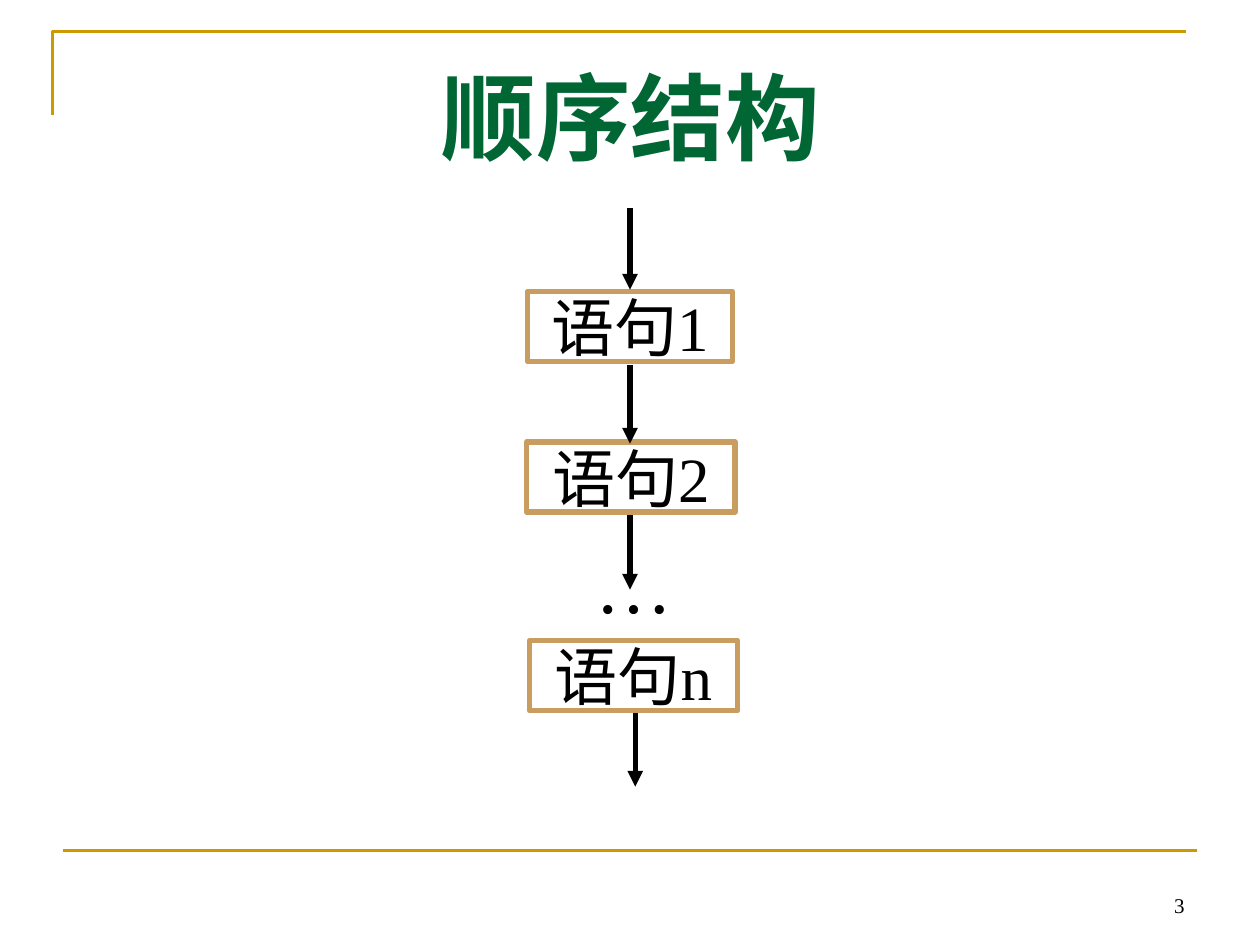
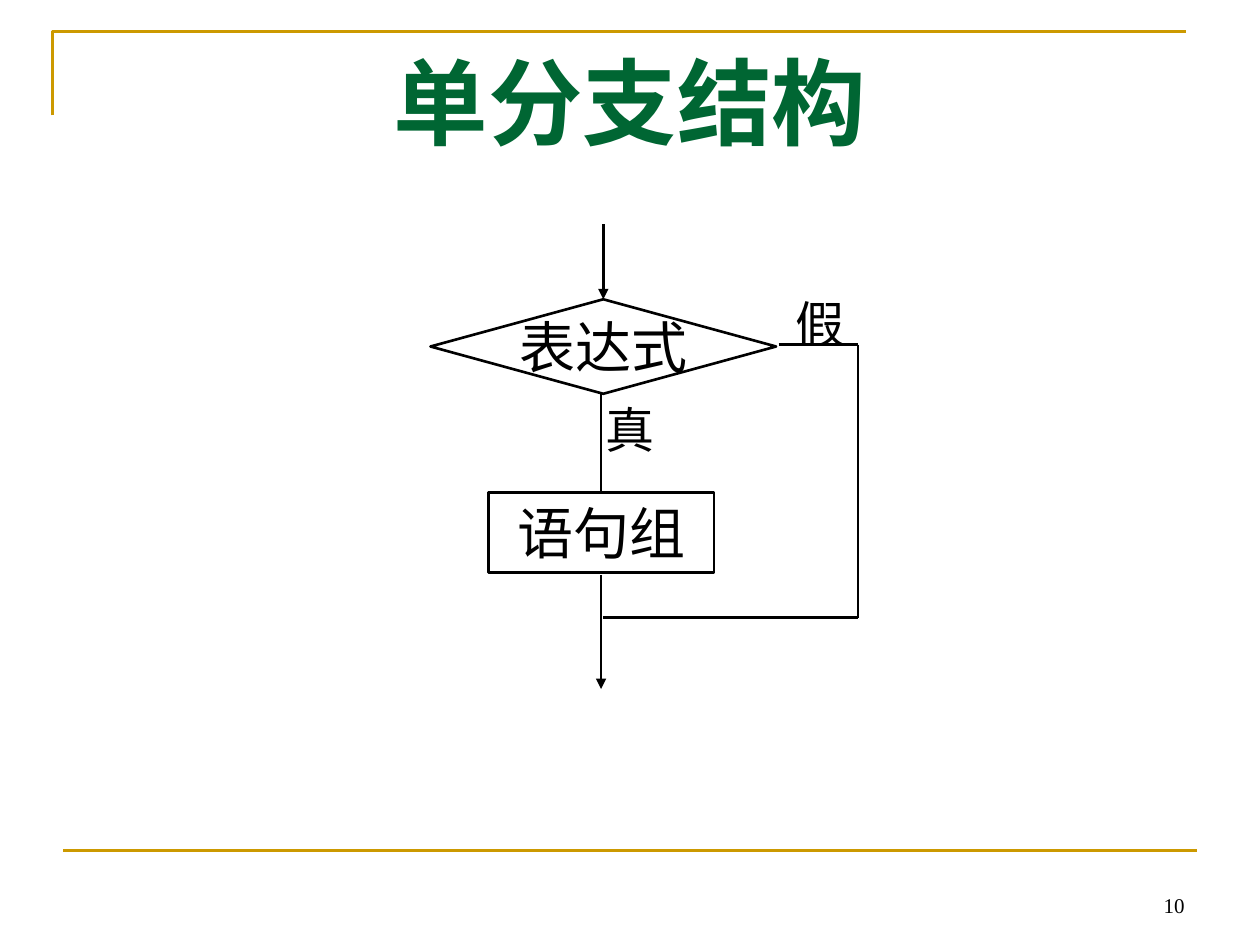
"""Builds two flowchart slides: sequence structure and single-branch structure."""
from lxml.etree import SubElement
from pptx import Presentation
from pptx.dml.color import RGBColor
from pptx.enum.shapes import MSO_CONNECTOR, MSO_SHAPE as SHAPE
from pptx.enum.text import MSO_ANCHOR as ANCHOR, PP_ALIGN as ALIGN
from pptx.oxml.ns import qn
from pptx.util import Pt

COLORS = {name: RGBColor.from_string(value) for name, value in {
    "rule": "CC9900", "title": "006633", "step": "C99C60",
    "ink": "000000", "paper": "FFFFFF"}.items()}
SERIF, SANS, CJK = "Times New Roman", "Arial", "Noto Sans CJK SC"


def add_label(slide, text, box, size, font=SERIF, kind=None, line=None, weight=1.5,
              align=ALIGN.CENTER, anchor=ANCHOR.MIDDLE, color="ink", bold=False,
              wrap=False, inset=3.6):
    """Add text in a plain box, or inside an outlined shape when kind is given."""
    place = [Pt(value) for value in box]
    if kind is None:
        label = slide.shapes.add_textbox(*place)
    else:
        label = slide.shapes.add_shape(kind, *place)
        label.shadow.inherit = False
        label.fill.background()
        label.line.color.rgb = COLORS[line]
        label.line.width = Pt(weight)
    frame = label.text_frame
    frame.word_wrap = wrap
    frame.vertical_anchor = anchor
    frame.margin_left = frame.margin_right = Pt(7.2)
    frame.margin_top = frame.margin_bottom = Pt(inset)
    paragraph = frame.paragraphs[0]
    paragraph.text = text
    paragraph.alignment = align
    paragraph.font.size = Pt(size)
    paragraph.font.bold = bold
    paragraph.font.name = font
    paragraph.font.color.rgb = COLORS[color]
    defaults = paragraph._p.pPr.find(qn("a:defRPr"))
    SubElement(defaults, qn("a:ea"), typeface=CJK)
    return label


def add_line(slide, x1, y1, x2, y2, weight=1.5, color="ink", arrow=False):
    """Add a straight line, with an arrowhead at its end if asked."""
    line = slide.shapes.add_connector(
        MSO_CONNECTOR.STRAIGHT, Pt(x1), Pt(y1), Pt(x2), Pt(y2))
    line.line.color.rgb = COLORS[color]
    line.line.width = Pt(weight)
    if arrow:
        SubElement(line.line._get_or_add_ln(), qn("a:tailEnd"), type="triangle")
    SubElement(line._element.spPr, qn("a:effectLst"))


deck = Presentation()
deck.slide_width, deck.slide_height = Pt(720), Pt(540)

slides = []
for title, title_box, number in [
        ("顺序结构", (196, 30, 329, 79), "3"),
        ("单分支结构", (36, 21.5, 648, 90), "10")]:
    slide = deck.slides.add_slide(deck.slide_layouts[6])
    outline = slide.shapes.build_freeform(30, 66, scale=Pt(1))
    outline.add_line_segments([(30, 18), (678, 18)], close=False)
    corner = outline.convert_to_shape()
    corner.shadow.inherit = False
    corner.fill.background()
    corner.line.color.rgb = COLORS["rule"]
    corner.line.width = Pt(1.5)
    add_line(slide, 36, 486, 684, 486, color="rule")
    add_label(slide, number, (516, 492, 168, 36), 12, align=ALIGN.RIGHT,
              anchor=ANCHOR.BOTTOM, wrap=True)
    add_label(slide, title, title_box, 54, anchor=ANCHOR.TOP, color="title",
              bold=True, wrap=True)
    slides.append(slide)
sequence, branch = slides

for step, left, top, width in [
        ("1", 301.5, 166.5, 117), ("2", 301, 252.5, 119), ("n", 302.5, 366, 119)]:
    add_label(sequence, f"语句{step}", (left, top, width, 40), 36,
              kind=SHAPE.FLOWCHART_PROCESS, line="step", weight=3)
add_label(sequence, "…", (333.5, 303, 58, 60.5), 44, align=ALIGN.LEFT, anchor=ANCHOR.TOP)
for x, start, end in [(360, 119, 165.5), (360, 208.5, 253.5),
                      (360, 294.5, 337), (363, 407.5, 449.5)]:
    add_line(sequence, x, start, x, end, weight=3, arrow=True)

entry_x, flow_x, bypass_x = 344.75, 343.5, 490.25
condition_y, merge_y = 197, 353
condition = add_label(branch, "表达式", (246, 171, 197.5, 54), 32, font=SANS,
                      kind=SHAPE.FLOWCHART_DECISION, line="ink", inset=0.7)
condition.fill.solid()
condition.fill.fore_color.rgb = COLORS["paper"]
add_label(branch, "语句组", (279.25, 281.25, 128.75, 46), 32, font=CJK,
          kind=SHAPE.RECTANGLE, line="ink", wrap=True)
add_label(branch, "真", (339, 224.5, 42.5, 41), 28, font=CJK)
add_label(branch, "假", (446.25, 164.25, 45, 41), 28, font=CJK, wrap=True)
for x, start, end, arrow in [(entry_x, 128.25, 171, True), (flow_x, 225, 281, False),
                             (flow_x, 328.5, 393.75, True)]:
    add_line(branch, x, start, x, end, arrow=arrow)
bypass = [(445, condition_y), (bypass_x, condition_y), (bypass_x, merge_y), (entry_x, merge_y)]
for start, end in zip(bypass, bypass[1:]):
    add_line(branch, *start, *end)

deck.save("out.pptx")
